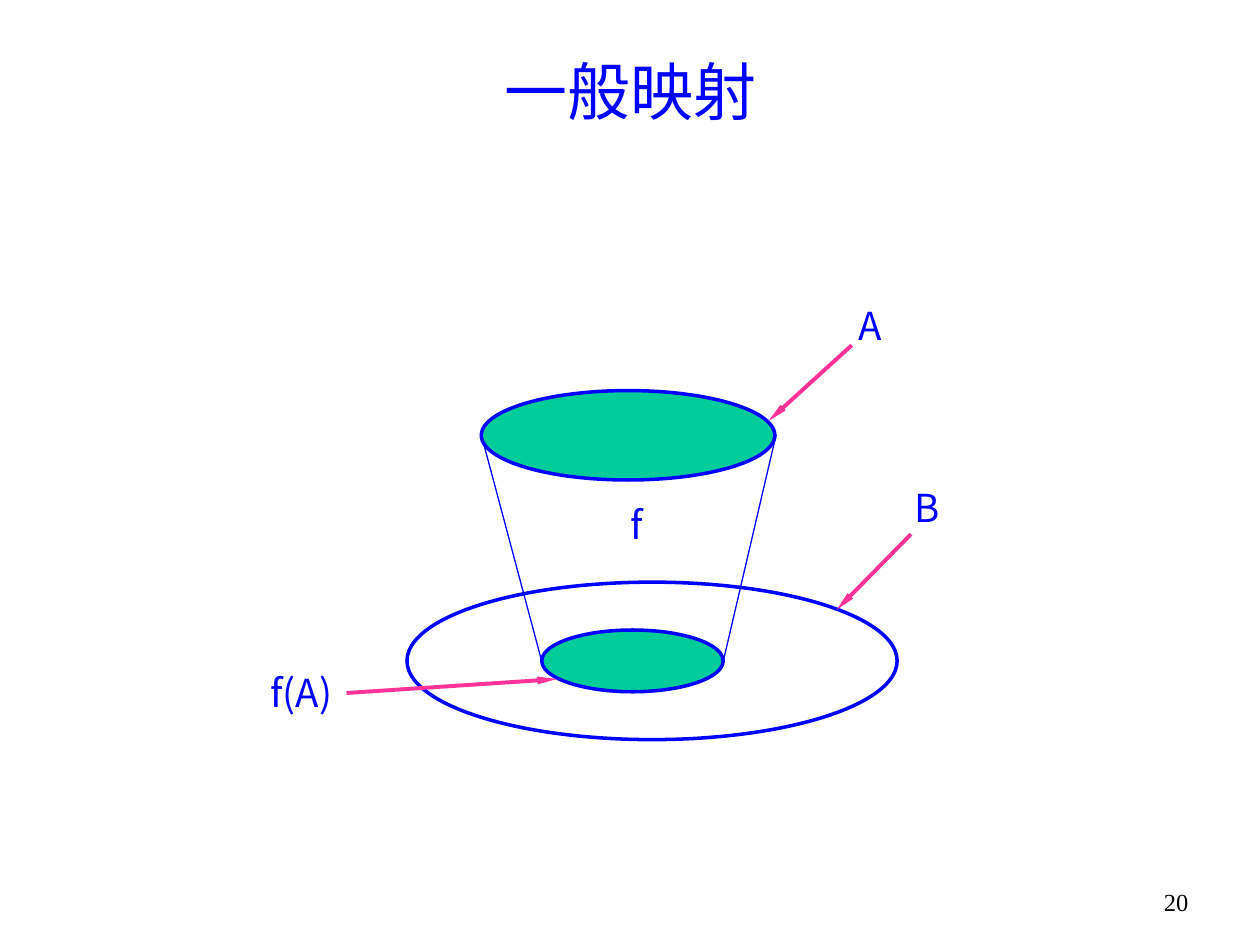
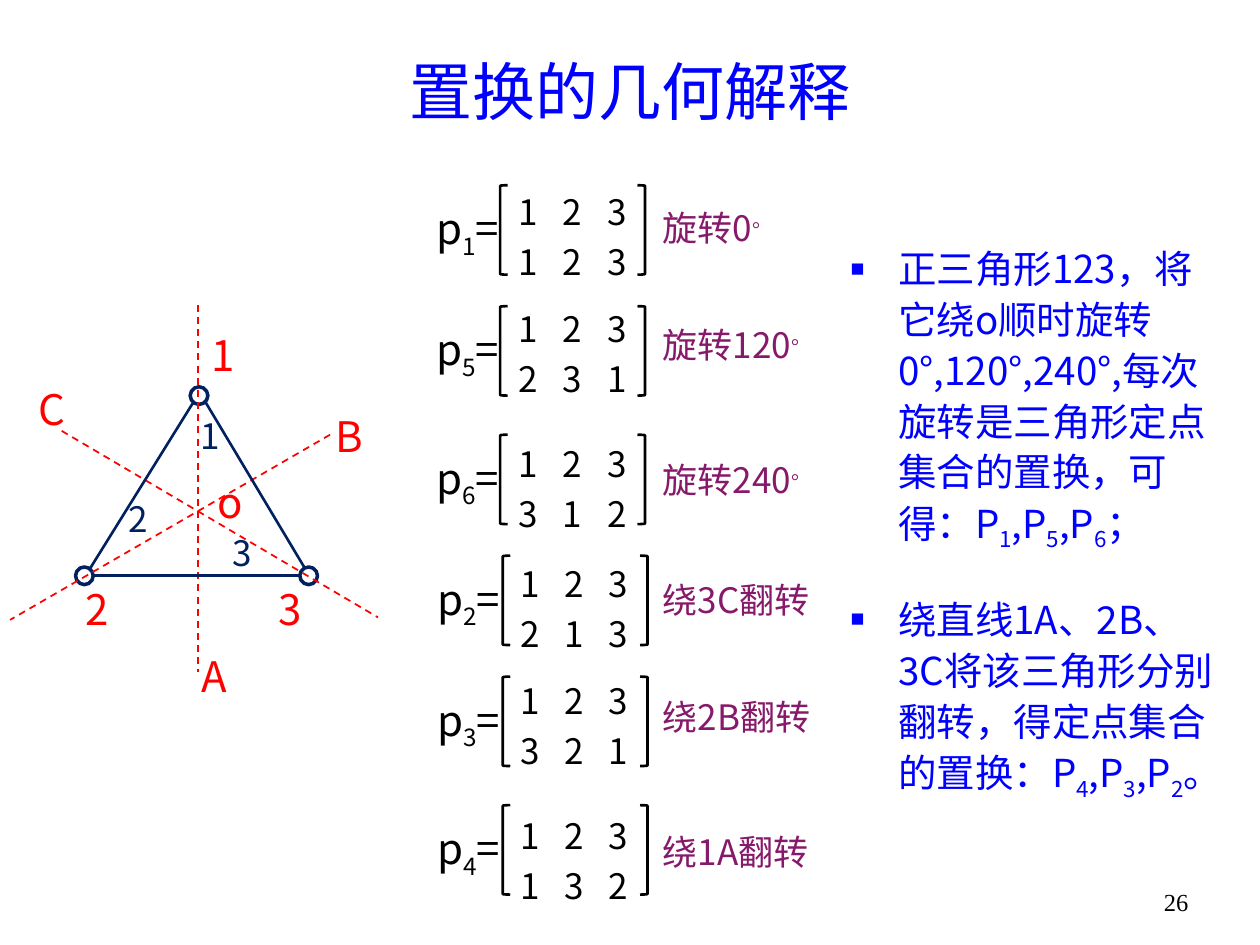
from lxml.etree import SubElement
from pptx import Presentation
from pptx.dml.color import RGBColor
from pptx.enum.dml import MSO_LINE
from pptx.enum.shapes import MSO_CONNECTOR, MSO_SHAPE
from pptx.enum.text import MSO_ANCHOR, MSO_AUTO_SIZE, PP_ALIGN
from pptx.oxml.ns import qn
from pptx.util import Pt

PX = 9144  # one hundredth of an inch
SANS, SERIF = "Noto Sans CJK SC", "Times New Roman"
BLUE, NAVY, RED, PINK = "0000FF", "002060", "FF0000", "FF3399"
GREEN, PLUM, BLACK = "00CC99", "87196A", "000000"
color = RGBColor.from_string


def scale(*nums):
    """Turn px into EMU."""
    return [n * PX for n in nums]


def write(para, text, size, hue, align=PP_ALIGN.CENTER, lead=0.9, shift=-25, face=SANS):
    """Fill a paragraph; every second part between bars is raised by shift percent."""
    para.alignment = align
    para.line_spacing = lead
    para.space_before = Pt(size * 0.2 if lead < 1 else 0)
    for i, part in enumerate(text.split("|")):
        run = para.add_run()
        run.text = part
        run.font.size = Pt(size)
        run.font.color.rgb = color(hue)
        run.font.name = face
        props = run.font._element
        SubElement(props, qn("a:ea")).set("typeface", face)
        if i % 2:
            props.set("baseline", str(shift * 1000))


deck = Presentation()
deck.slide_width, deck.slide_height = scale(1000, 750)

# Title and page number
pages = []
for layout, title, number in [(5, "一般映射", "20"), (1, "置换的几何解释", "26")]:
    page = deck.slides.add_slide(deck.slide_layouts[layout])
    pages.append(page)
    head = page.shapes.title
    head.left, head.top, head.width, head.height = scale(75, 36, 850, 71)
    head.text_frame.auto_size = MSO_AUTO_SIZE.NONE
    head.text_frame.vertical_anchor = MSO_ANCHOR.MIDDLE
    write(head.text_frame.paragraphs[0], title, 36, BLUE, lead=1)
    foot = page.shapes.add_textbox(*scale(902, 699, 63, 37)).text_frame
    foot.word_wrap = True
    write(foot.paragraphs[0], number, 14, BLACK, lead=1, face=SERIF)
cone, turn = pages

# Ellipses: the sets, then the corners of the triangle
ovals = [
    (cone, (382, 310, 233, 71), GREEN, BLUE),
    (cone, (323, 462, 389, 125), None, BLUE),
    (cone, (430, 500, 144, 49), GREEN, BLUE),
]
ovals += [(turn, (x, y, 14, 14), None, NAVY) for x, y in [(151, 307), (238, 450), (60, 450)]]
for page, place, fill, hue in ovals:
    oval = page.shapes.add_shape(MSO_SHAPE.OVAL, *scale(*place))
    oval.shadow.inherit = False
    oval.line.color.rgb = color(hue)
    oval.line.width = Pt(2)
    if fill:
        oval.fill.solid()
        oval.fill.fore_color.rgb = color(fill)
    else:
        oval.fill.background()

# Lines: sides of the cone, arrows, axes, sides of the triangle
sets = [
    (cone, BLUE, 0.75, [(382, 345, 430, 525), (616, 345, 574, 525)]),
    (cone, PINK, 2.25, [(676, 274, 610, 334), (275, 550, 442, 539), (723, 424, 664, 484)]),
    (turn, RED, 1, [(157, 242, 157, 533), (262, 345, 8, 492), (49, 342, 300, 490)]),
    (turn, NAVY, 1.5, [(71, 452, 153, 320), (242, 451, 163, 319), (74, 457, 238, 457)]),
]
for page, hue, width, ends in sets:
    for end in ends:
        line = page.shapes.add_connector(MSO_CONNECTOR.STRAIGHT, *scale(*end))
        line.line.color.rgb = color(hue)
        line.line.width = Pt(width)
        if hue == RED:
            line.line.dash_style = MSO_LINE.DASH
        if hue == PINK:
            tip = SubElement(line.line._get_or_add_ln(), qn("a:tailEnd"))
            for key, value in [("type", "triangle"), ("w", "sm"), ("len", "lg")]:
                tip.set(key, value)
        SubElement(line._element.spPr, qn("a:effectLst"))

# Labels of both drawings
labels = [
    (cone, "f(A)", (185, 533, 108, 38), 22, BLUE),
    (cone, "A", (616, 241, 150, 38), 22, BLUE),
    (cone, "B", (664, 386, 144, 38), 22, BLUE),
    (cone, "f", (454, 402, 102, 33), 22, BLUE),
]
spots = [
    (24, RED, [("1", 145, 259), ("3", 198, 461), ("2", 45, 461), ("A", 138, 514),
               ("B", 245, 323), ("C", 9, 302), ("o", 151, 376)]),
    (20, NAVY, [("1", 135, 323), ("3", 160, 416), ("2", 78, 389)]),
]
for size, hue, marks in spots:
    labels += [(turn, text, (x, y, 64, 50), size, hue) for text, x, y in marks]

# Permutations: three turns, then three flips
groups = [
    [("1", "123", "旋转0|。"), ("5", "231", "旋转120|。"), ("6", "312", "旋转240|。")],
    [("2", "213", "绕3C翻转"), ("3", "321", "绕2B翻转"), ("4", "132", "绕1A翻转")],
]
for g, group in enumerate(groups):
    for (index, image, note), high, grid in zip(group, (147, 243, 345), (148, 241, 348)):
        high += 294 * g
        grid += 295 * g
        table = turn.shapes.add_table(2, 3, *scale(402 + g, grid, 105, 80)).table
        table.first_row = table.horz_banding = False
        style = table._tbl.tblPr.find(qn("a:tableStyleId"))
        style.text = "{2D5ABB26-0587-4C30-8999-92F81FD0307C}"
        for r, digits in enumerate(["123", image]):
            for c, digit in enumerate(digits):
                cell = table.cell(r, c)
                cell.fill.background()
                cell.vertical_anchor = MSO_ANCHOR.MIDDLE
                cell.margin_left = cell.margin_right = 2 * PX
                cell.margin_top = cell.margin_bottom = 0
                write(cell.text_frame.paragraphs[0], digit, 20, BLACK)
        for kind, x in [(MSO_SHAPE.LEFT_BRACKET, 397), (MSO_SHAPE.RIGHT_BRACKET, 506)]:
            hook = turn.shapes.add_shape(kind, *scale(x + 2 * g, high, 6, 71))
            hook.shadow.inherit = False
            hook.fill.background()
            hook.line.color.rgb = color(BLACK)
            hook.line.width = Pt(1.5)
        labels.append((turn, f"p|{index}|=", (335 + g, high + 15, 72, 40), 24, BLACK))
        labels.append((turn, note, (526, grid + 7, 147, 55), 20, PLUM))

for page, text, place, size, hue in labels:
    frame = page.shapes.add_textbox(*scale(*place)).text_frame
    frame.word_wrap = True
    frame.vertical_anchor = MSO_ANCHOR.MIDDLE
    frame.margin_left = frame.margin_right = frame.margin_top = frame.margin_bottom = 0
    align = PP_ALIGN.LEFT if hue == PLUM else PP_ALIGN.CENTER
    write(frame.paragraphs[0], text, size, hue, align, shift=40 if hue == PLUM else -25)

# Bullet list
body = turn.placeholders[1]
body.left, body.top, body.width, body.height = scale(665, 186, 317, 457)
frame = body.text_frame
frame.auto_size = MSO_AUTO_SIZE.NONE
points = [
    ("正三角形123，将它绕o顺时旋转0°,120°,240°,每次旋转是三角形定点集合的置换，可得：P|1|,P|5|,P|6|；", 6, 18),
    ("绕直线1A、2B、3C将该三角形分别翻转，得定点集合的置换：P|4|,P|3|,P|2|。", 4.4, 6),
]
for i, (text, before, after) in enumerate(points):
    para = frame.add_paragraph() if i else frame.paragraphs[0]
    write(para, text, 22, BLUE, PP_ALIGN.LEFT, lead=1.1)
    para.space_before = Pt(before)
    para.space_after = Pt(after)
    props = para._p.get_or_add_pPr()
    props.set("marL", str(38 * PX))
    props.set("indent", str(-38 * PX))
    props.set("hangingPunct", "0")
    SubElement(SubElement(props, qn("a:buClr")), qn("a:srgbClr")).set("val", BLUE)
    SubElement(props, qn("a:buSzPct")).set("val", "60000")
    SubElement(props, qn("a:buFont")).set("typeface", SERIF)
    SubElement(props, qn("a:buChar")).set("char", "■")

deck.save("out.pptx")
